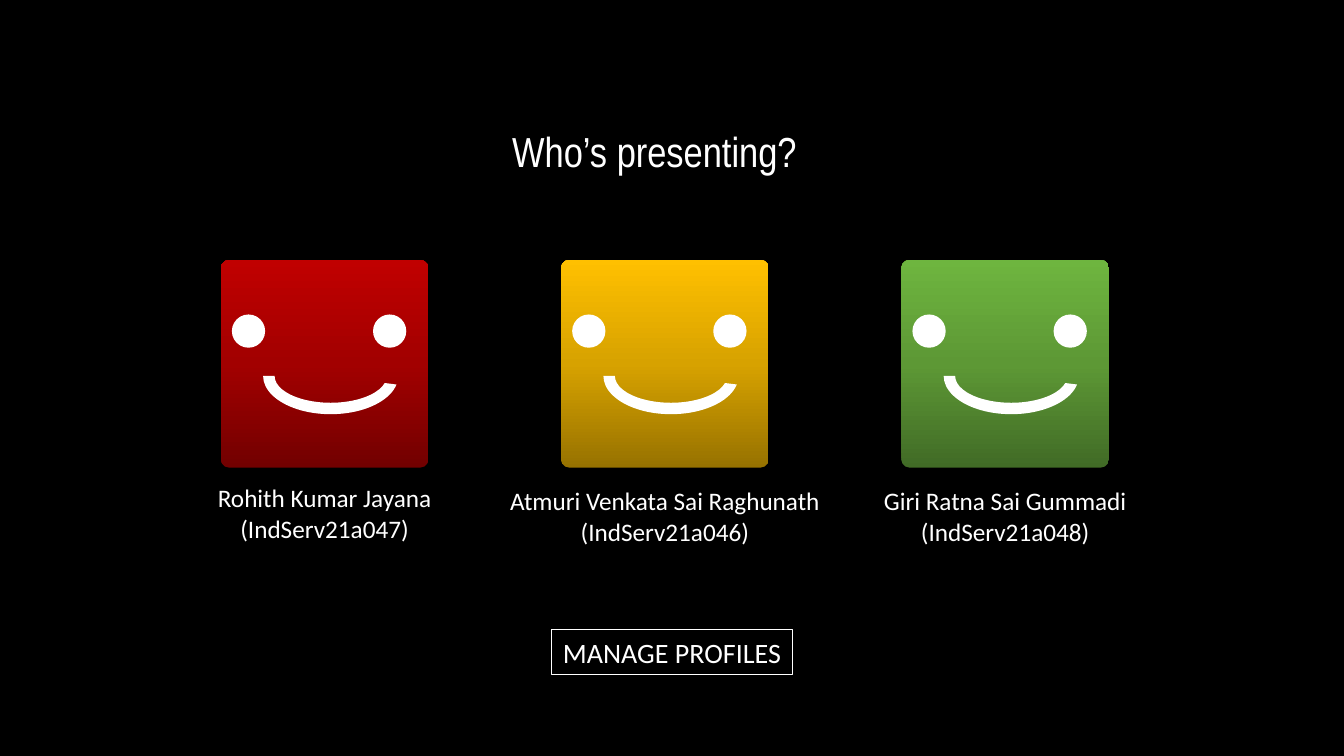
"""Build a profile picker slide that introduces three presenters."""
import copy

import pptx
import pptx.dml.color
import pptx.enum.shapes
import pptx.enum.text
import pptx.oxml.ns
import pptx.util

Inches = pptx.util.Inches
Shapes = pptx.enum.shapes.MSO_SHAPE
Align = pptx.enum.text.PP_ALIGN

COLORS = {
    "background": "000000",
    "white": "FFFFFF",
    "red": ("720000", "A20000", "C00000"),
    "yellow": ("977200", "D7A200", "FFC000"),
    "green": ("416B26", "5D9835", "6EB53F"),
}
FORMATS = {
    "title": {"name": "Arial Narrow", "size": pptx.util.Pt(30)},
    "label": {"name": "Calibri", "size": pptx.util.Pt(18)},
    "button": {"name": "Calibri", "size": pptx.util.Pt(20)},
}
FRAME = {
    "word_wrap": False,
    "auto_size": pptx.enum.text.MSO_AUTO_SIZE.SHAPE_TO_FIT_TEXT,
}
PROFILES = [
    ("Rohith Kumar Jayana", "(IndServ21a047)", "red", 2.34, 4.74),
    ("Atmuri Venkata Sai Raghunath", "(IndServ21a046)", "yellow", 3.31, 4.77),
    ("Giri Ratna Sai Gummadi", "(IndServ21a048)", "green", 2.63, 4.77),
]
TILE_LEFT, TILE_TOP, TILE_SIZE, TILE_PITCH = 2.19, 2.58, 2.06, 3.375
LABEL_HEIGHT = 0.71


def rgb(value):
    """Turn a hex string into a colour."""
    return pptx.dml.color.RGBColor.from_string(value)


def write(shape, lines, style, alignment, anchor):
    """Put formatted white lines into a shape."""
    frame = shape.text_frame
    for name, value in FRAME.items():
        setattr(frame, name, value)
    frame.vertical_anchor = anchor
    frame.text = "\n".join(lines)
    for paragraph in frame.paragraphs:
        paragraph.alignment = alignment
        for name, value in FORMATS[style].items():
            setattr(paragraph.font, name, value)
        paragraph.font.color.rgb = rgb(COLORS["white"])


def add_plain_shape(shapes, kind, box):
    """Add a white shape without line or shadow."""
    shape = shapes.add_shape(kind, *map(Inches, box))
    shape.shadow.inherit = False
    shape.fill.solid()
    shape.fill.fore_color.rgb = rgb(COLORS["white"])
    shape.line.fill.background()
    return shape


def add_title(slide, box):
    """Place the question in the title placeholder."""
    title = slide.shapes.title
    title.left, title.top, title.width, title.height = map(Inches, box)
    write(title, ["Who’s presenting?"], "title", Align.LEFT,
          pptx.enum.text.MSO_ANCHOR.TOP)


def add_face(slide, box, colors):
    """Draw a smiling gradient tile as one group."""
    left, top, width, height = box
    shapes = slide.shapes.add_group_shape().shapes
    tile = add_plain_shape(shapes, Shapes.ROUNDED_RECTANGLE, box)
    tile.adjustments[0] = 0.04
    tile.fill.gradient()
    tile.fill.gradient_angle = 90
    stops = tile.element.find(".//" + pptx.oxml.ns.qn("a:gsLst"))
    stops.append(copy.deepcopy(stops[0]))
    for index, stop in enumerate(tile.fill.gradient_stops):
        stop.position = index / 2
        stop.color.rgb = rgb(colors[index])
    for offset in (0.11, 1.51):
        add_plain_shape(shapes, Shapes.OVAL,
                        (left + offset, top + 0.54, 0.33, 0.33))
    smile = add_plain_shape(shapes, Shapes.BLOCK_ARC,
                            (left + 0.42, top + 0.77, 1.34, 0.76))
    for index, value in enumerate((4.47, 108, 0.15)):
        smile.adjustments[index] = value


def add_label(slide, box, lines):
    """Write a presenter's name and number."""
    label = slide.shapes.add_textbox(*map(Inches, box))
    write(label, lines, "label", Align.CENTER,
          pptx.enum.text.MSO_ANCHOR.TOP)


def add_button(slide, box):
    """Draw the outlined button."""
    button = add_plain_shape(slide.shapes, Shapes.RECTANGLE, box)
    button.fill.background()
    button.line.color.rgb = rgb(COLORS["white"])
    button.line.width = pptx.util.Pt(0.75)
    write(button, ["MANAGE PROFILES"], "button", Align.CENTER,
          pptx.enum.text.MSO_ANCHOR.MIDDLE)


def build_profile_slide(presentation):
    """Lay out the title, the profiles and the button."""
    slide = presentation.slides.add_slide(presentation.slide_layouts[5])
    slide.background.fill.solid()
    slide.background.fill.fore_color.rgb = rgb(COLORS["background"])
    add_title(slide, (4.98, 1.2, 3.37, 0.61))
    for index, (name, number, color, width, top) in enumerate(PROFILES):
        left = TILE_LEFT + index * TILE_PITCH
        add_face(slide, (left, TILE_TOP, TILE_SIZE, TILE_SIZE), COLORS[color])
        label_left = left + (TILE_SIZE - width) / 2
        add_label(slide, (label_left, top, width, LABEL_HEIGHT),
                  [name, number])
    add_button(slide, (5.47, 6.25, 2.39, 0.44))


def main():
    """Create and save the presentation."""
    presentation = pptx.Presentation()
    presentation.slide_width = Inches(13.33)
    presentation.slide_height = Inches(7.5)
    build_profile_slide(presentation)
    presentation.save("out.pptx")


if __name__ == "__main__":
    main()
